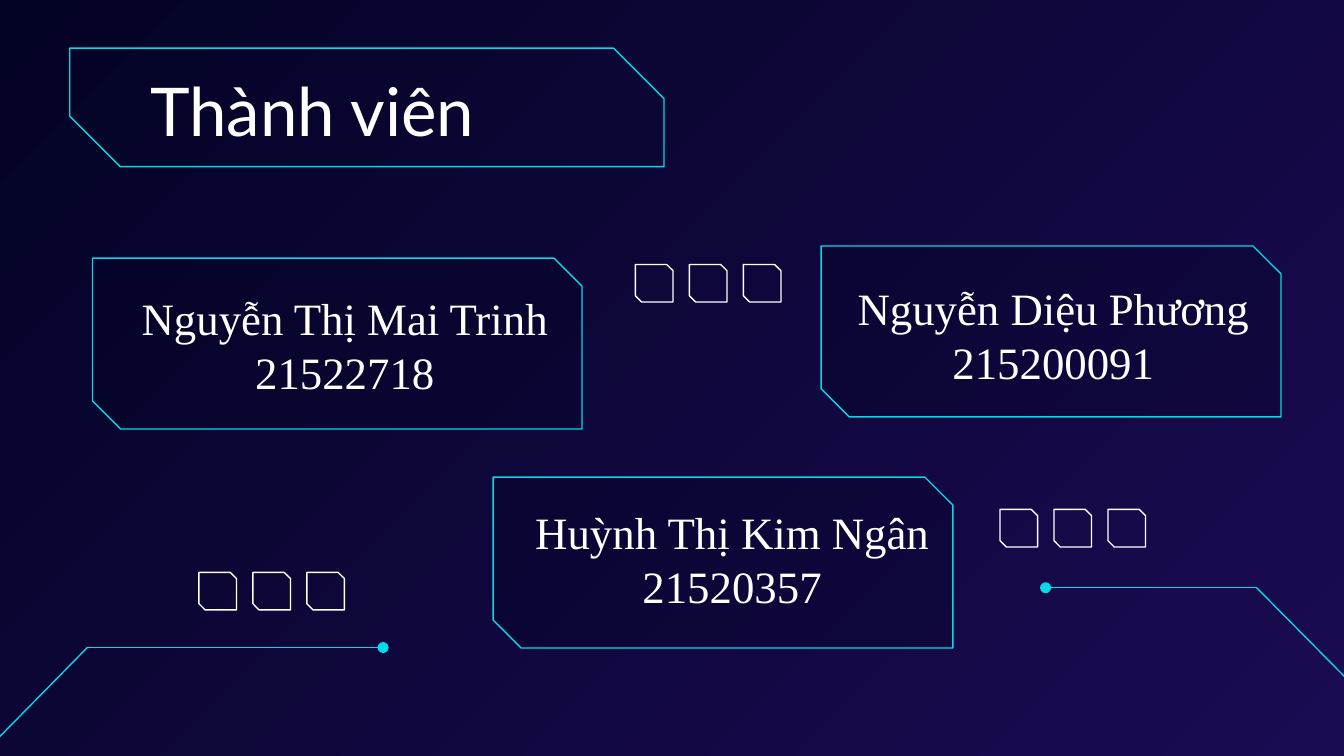
from lxml.etree import SubElement
from pptx import Presentation
from pptx.dml.color import RGBColor
from pptx.enum.shapes import MSO_CONNECTOR, MSO_SHAPE
from pptx.enum.text import MSO_AUTO_SIZE, PP_ALIGN
from pptx.oxml.ns import qn
from pptx.util import Cm, Pt

CYAN, WHITE, NAVY, PLUM = "05D8E7", "FFFFFF", "030325", "1B0B52"


def shade(code):
    return RGBColor.from_string(code)


class Deck:
    line = {"width": Pt(0.75)}
    head = {"name": "Lato", "size": Pt(36)}
    body = {"name": "Times New Roman", "size": Pt(24)}
    frame = {"word_wrap": True, "auto_size": MSO_AUTO_SIZE.SHAPE_TO_FIT_TEXT}

    def __init__(self, wide, high):
        self.show = Presentation()
        self.show.slide_width, self.show.slide_height = Cm(wide), Cm(high)
        self.slide = self.show.slides.add_slide(self.show.slide_layouts[6])

    def apply(self, item, form):
        for key, value in form.items():
            setattr(item, key, value)

    def stroke(self, item, tone):
        self.apply(item.line, self.line)
        item.line.color.rgb = shade(tone)

    def ground(self, start, end):
        fill = self.slide.background.fill
        fill.gradient()
        fill.gradient_angle = 315
        for stop, tone in zip(fill.gradient_stops, (start, end)):
            stop.color.rgb = shade(tone)

    def snip(self, area, cut, tone, fill=None, alpha=31):
        box = self.slide.shapes.add_shape(
            MSO_SHAPE.SNIP_2_DIAG_RECTANGLE, *map(Cm, area))
        box.adjustments[0], box.adjustments[1] = 0, cut
        box.shadow.inherit = False
        self.stroke(box, tone)
        if fill:
            box.fill.solid()
            box.fill.fore_color.rgb = shade(fill)
            color = box.fill._xPr.find(".//" + qn("a:srgbClr"))
            SubElement(color, qn("a:alpha"), val=str(alpha * 1000))
        else:
            box.fill.background()

    def trio(self, left, top, side=0.71, step=1.02):
        for i in range(3):
            self.snip((left + i * step, top, side, side), 0.167, WHITE)

    def trail(self, *spots):
        for start, end in zip(spots, spots[1:]):
            wire = self.slide.shapes.add_connector(
                MSO_CONNECTOR.STRAIGHT, *map(Cm, start + end))
            self.stroke(wire, CYAN)
            if end == spots[-1]:
                SubElement(wire.line._get_or_add_ln(), qn("a:tailEnd"), type="oval")
            SubElement(wire._element.spPr, qn("a:effectLst"))

    def text(self, area, lines, form, align=PP_ALIGN.LEFT):
        frame = self.slide.shapes.add_textbox(*map(Cm, area)).text_frame
        self.apply(frame, self.frame)
        frame.text = "\n".join(lines)
        for para in frame.paragraphs:
            para.alignment = align
            for run in para.runs:
                self.apply(run.font, form)
                run.font.color.rgb = shade(WHITE)


def main():
    deck = Deck(25.4, 14.29)
    deck.ground(NAVY, PLUM)

    # Member frames
    for area in ((9.32, 9.02, 8.69, 3.23), (15.52, 4.65, 8.69, 3.23),
                 (1.75, 4.88, 9.25, 3.23)):
        deck.snip(area, 0.164, CYAN, NAVY)

    # Small squares
    for spot in ((12.01, 5), (3.76, 10.82), (18.9, 9.63)):
        deck.trio(*spot)

    # Corner trails
    deck.trail((25.5, 12.88), (23.75, 11.11), (19.76, 11.11))
    deck.trail((-0.1, 14.02), (1.65, 12.24), (7.24, 12.24))

    # Title
    deck.snip((1.32, 0.91, 11.23, 2.24), 0.426, CYAN)
    deck.text((2.59, 1.19, 9.93, 1.8), ["Thành viên"], deck.head)

    # Member names
    for left, top, name, code in (
            (1.75, 5.38, "Nguyễn Thị Mai Trinh", "21522718"),
            (15.14, 5.18, "Nguyễn Diệu Phương", "215200091"),
            (9.07, 9.42, "Huỳnh Thị Kim Ngân", "21520357")):
        deck.text((left, top, 9.53, 2.31), [name, code], deck.body, PP_ALIGN.CENTER)

    deck.show.save("out.pptx")


if __name__ == "__main__":
    main()
